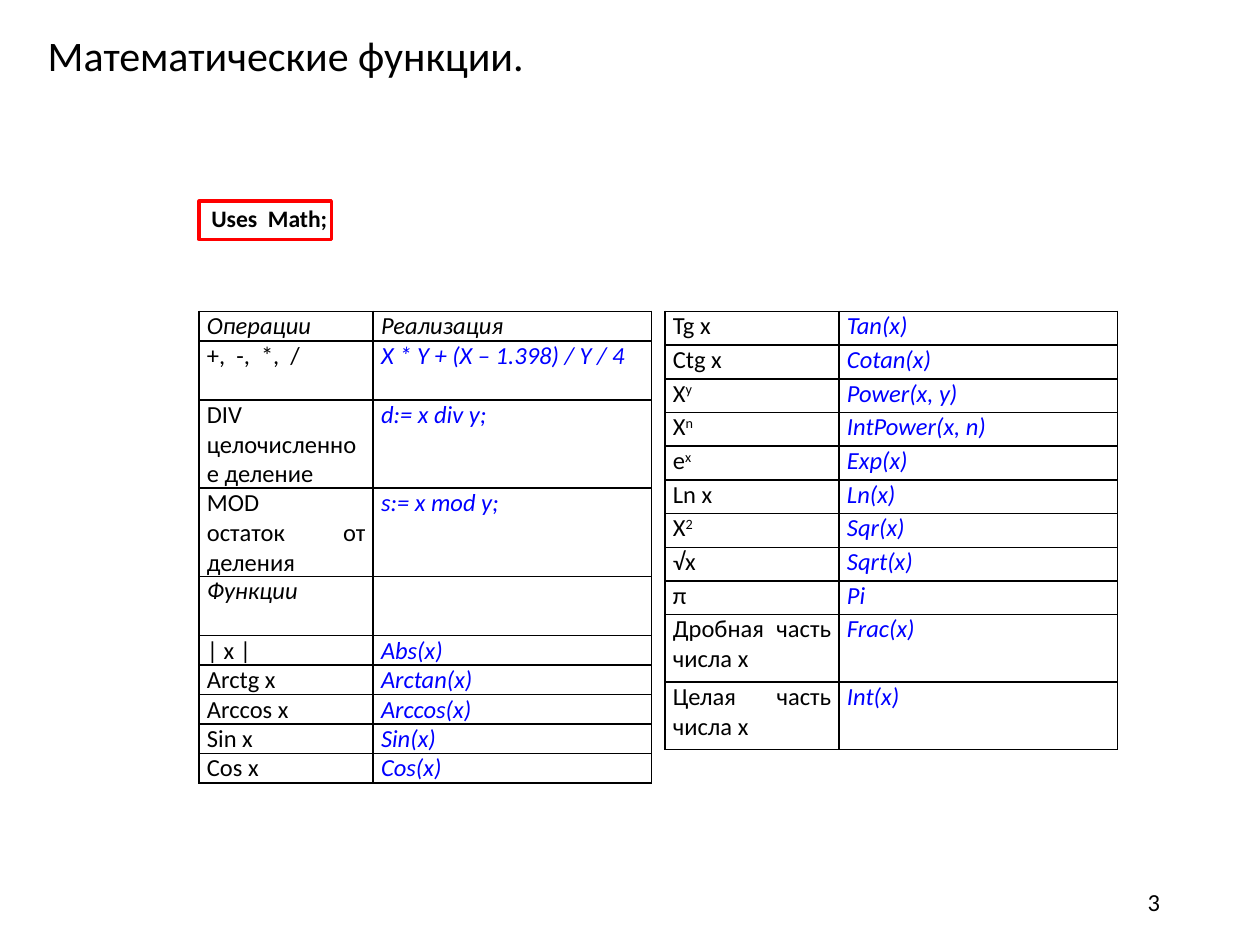
from dataclasses import dataclass

import pptx
import pptx.dml.color
import pptx.enum.shapes
import pptx.enum.text
import pptx.oxml
import pptx.oxml.ns
import pptx.util

Pt = pptx.util.Pt
Align = pptx.enum.text.PP_ALIGN
Anchor = pptx.enum.text.MSO_ANCHOR
AutoSize = pptx.enum.text.MSO_AUTO_SIZE


@dataclass(frozen=True)
class Theme:
    font: str = "Calibri"
    title_size: float = 24
    uses_size: float = 13.5
    body_size: float = 14
    ink: str = "000000"
    code: str = "0000FF"
    frame: str = "FF0000"


@dataclass(frozen=True)
class Row:
    label: str
    code: str = ""
    height: float = 0  # points; 0 takes the table's usual height
    power: str = ""
    heading: bool = False


@dataclass(frozen=True)
class FunctionTable:
    left: float
    top: float
    row_height: float
    rows: tuple[Row, ...]
    columns: tuple[float, float] = (99.5, 159)


THEME = Theme()

OPERATIONS = FunctionTable(113.75, 178, 16.85, (
    Row("Операции", "Реализация", heading=True),
    Row("+,  -,  *,  /", "X * Y + (X – 1.398) / Y / 4", 33.7),
    Row("DIV целочисленное деление", "d:= x div y;", 50.2),
    Row("MOD\nостаток от деления", "s:= x mod y;", 50.2),
    Row("Функции", height=33.9, heading=True),
    Row("| х |", "Abs(x)"),
    Row("Arctg x", "Arctan(x)"),
    Row("Arccos x", "Arccos(x)"),
    Row("Sin x", "Sin(x)"),
    Row("Cos x", "Cos(x)"),
))

FUNCTIONS = FunctionTable(380, 178, 19.25, (
    Row("Tg x", "Tan(x)"),
    Row("Ctg x", "Cotan(x)"),
    Row("X", "Power(x, y)", power="y"),
    Row("X", "IntPower(x, n)", power="n"),
    Row("e", "Exp(x)", power="x"),
    Row("Ln x", "Ln(x)"),
    Row("X", "Sqr(x)", power="2"),
    Row("√x", "Sqrt(x)"),
    Row("π", "Pi"),
    Row("Дробная часть числа х", "Frac(x)", 38.5),
    Row("Целая часть числа х", "Int(x)", 38.5),
))


def add_span(para, text: str, size: float, color: str = THEME.ink,
             bold: bool = False, italic: bool = False, raised: bool = False) -> None:
    span = para.add_run()
    span.text = text
    span.font.name = THEME.font
    span.font.size = Pt(size)
    span.font.bold = bold
    span.font.italic = italic
    span.font.color.rgb = pptx.dml.color.RGBColor.from_string(color)
    if raised:
        span._r.get_or_add_rPr().set("baseline", "30000")


def add_label(shapes, box: tuple, text: str, size: float, align, anchor,
              bold: bool = False) -> None:
    label = shapes.add_textbox(*map(Pt, box))
    frame = label.text_frame
    frame.word_wrap = True
    frame.vertical_anchor = anchor
    para = frame.paragraphs[0]
    para.alignment = align
    add_span(para, text, size, bold=bold)


def format_cell(cell) -> None:
    cell.margin_left = cell.margin_right = Pt(4.5)
    cell.margin_top = cell.margin_bottom = 0
    cell.fill.background()
    properties = cell._tc.get_or_add_tcPr()
    # Borders come before the fill in the cell properties
    for index, side in enumerate(("lnL", "lnR", "lnT", "lnB")):
        properties.insert(index, pptx.oxml.parse_xml(
            f'<a:{side} {pptx.oxml.ns.nsdecls("a")} w="12700"><a:solidFill>'
            f'<a:srgbClr val="{THEME.ink}"/></a:solidFill></a:{side}>'))


def write_cell(cell, text: str, color: str, italic: bool, power: str = "") -> None:
    frame = cell.text_frame
    for index, line in enumerate(text.split("\n")):
        para = frame.add_paragraph() if index else frame.paragraphs[0]
        para.alignment = Align.JUSTIFY
        if line:
            add_span(para, line, THEME.body_size, color, italic=italic)
    if power:
        add_span(para, power, THEME.body_size, color, raised=True)


def add_function_table(page, data: FunctionTable) -> None:
    heights = [row.height or data.row_height for row in data.rows]
    table = page.shapes.add_table(
        len(data.rows), len(data.columns), Pt(data.left), Pt(data.top),
        Pt(sum(data.columns)), Pt(sum(heights))).table
    table.first_row = table.horz_banding = False
    for column, width in zip(table.columns, data.columns):
        column.width = Pt(width)
    for line, height, row in zip(table.rows, heights, data.rows):
        line.height = Pt(height)
        label, code = line.cells
        for cell in (label, code):
            format_cell(cell)
        write_cell(label, row.label, THEME.ink, row.heading, row.power)
        write_cell(code, row.code, THEME.ink if row.heading else THEME.code, True)


def add_title(page, text: str) -> None:
    title = page.shapes.title
    title.left, title.top, title.width, title.height = map(Pt, (20, 13, 290, 36))
    frame = title.text_frame
    frame.word_wrap = False
    frame.auto_size = AutoSize.NONE
    frame.vertical_anchor = Anchor.TOP
    para = frame.paragraphs[0]
    para.alignment = Align.LEFT
    add_span(para, text, THEME.title_size)


def add_uses_clause(page) -> None:
    group = page.shapes.add_group_shape()
    add_label(group.shapes, (113.75, 113, 96.5, 24), "Uses  Math;",
              THEME.uses_size, Align.JUSTIFY, Anchor.TOP, bold=True)
    frame = group.shapes.add_shape(
        pptx.enum.shapes.MSO_SHAPE.RECTANGLE, *map(Pt, (113.75, 115, 75.6, 21.8)))
    frame.shadow.inherit = False
    frame.fill.background()
    frame.line.color.rgb = pptx.dml.color.RGBColor.from_string(THEME.frame)
    frame.line.width = Pt(2)


def main() -> None:
    deck = pptx.Presentation()
    deck.slide_width, deck.slide_height = Pt(720), Pt(540)
    page = deck.slides.add_slide(deck.slide_layouts.get_by_name("Title Only"))

    # Heading and framed unit clause
    add_title(page, "Математические функции.")
    add_uses_clause(page)

    # Operations on the left, further functions on the right
    for data in (OPERATIONS, FUNCTIONS):
        add_function_table(page, data)

    # Page number
    add_label(page.shapes, (508, 501, 162, 29), "3",
              THEME.body_size, Align.RIGHT, Anchor.MIDDLE)
    deck.save("out.pptx")


if __name__ == "__main__":
    main()
